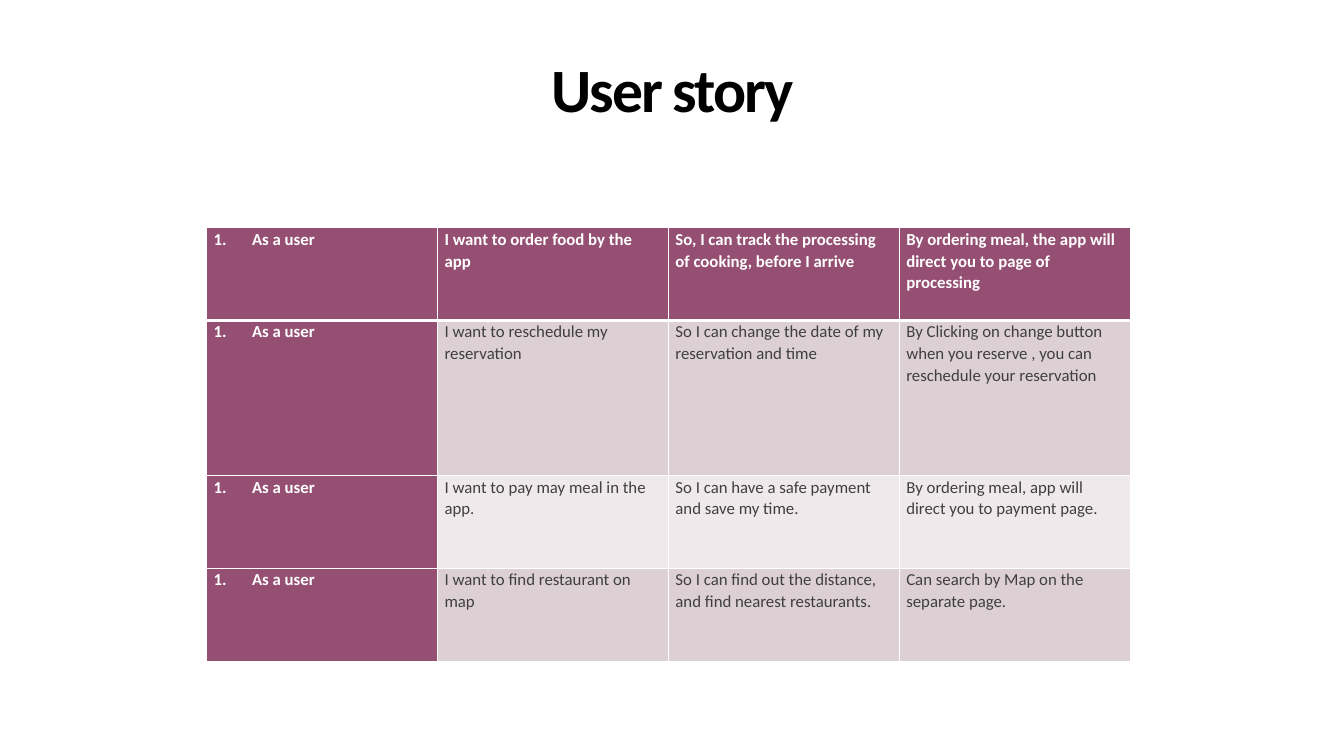
from dataclasses import dataclass

from lxml import etree
from pptx import Presentation
from pptx.dml.color import RGBColor
from pptx.enum.text import MSO_ANCHOR, MSO_AUTO_SIZE, PP_ALIGN
from pptx.oxml.ns import qn
from pptx.util import Emu, Pt

CENTER = PP_ALIGN.CENTER
BOTTOM = MSO_ANCHOR.BOTTOM
TOP = MSO_ANCHOR.TOP
NO_AUTOFIT = MSO_AUTO_SIZE.NONE
TITLE_ONLY = 5
PX = 9144


@dataclass(frozen=True)
class Theme:
    font: str = "Calibri"
    title_size: int = 44
    cell_size: int = 12
    black: str = "000000"
    white: str = "FFFFFF"
    body: str = "3F3F3F"
    plum: str = "954F72"
    bands: tuple = ("EFE9EB", "DDD0D5")


THEME = Theme()
COL_WIDTH = 229
ROW_HEIGHTS = (92, 154, 92, 92)
ROLE = "As a user"
STORIES = (
    ("I want to order food by the app",
     "So, I can track the processing of cooking, before I arrive",
     "By ordering meal, the app will direct you to page of processing"),
    ("I want to reschedule my reservation",
     "So I can change the date of my reservation and time",
     "By Clicking on change button when you reserve , you can reschedule your reservation"),
    ("I want to pay may meal in the app.",
     "So I can have a safe payment and save my time.",
     "By ordering meal, app will direct you to payment page."),
    ("I want to find restaurant on map",
     "So I can find out the distance, and find nearest restaurants.",
     "Can search by Map on the separate page."),
)


def px(n):
    """Turn px into EMU."""
    return Emu(n * PX)


def set_font(p, size, color, bold):
    """Set the font of a whole paragraph."""
    p.font.name = THEME.font
    p.font.size = Pt(size)
    p.font.bold = bold
    p.font.color.rgb = RGBColor.from_string(color)


def add_title(slide, text):
    """Place and format the title placeholder."""
    sp = slide.shapes.title
    sp.left, sp.top, sp.width, sp.height = map(px, (71, 32, 1192, 98))
    tf = sp.text_frame
    tf.auto_size = NO_AUTOFIT
    tf.vertical_anchor = BOTTOM
    p = tf.paragraphs[0]
    p.alignment = CENTER
    p.line_spacing = 0.9
    r = p.add_run()
    r.text = text
    r._r.get_or_add_rPr().set("spc", "-150")
    set_font(p, THEME.title_size, THEME.black, True)


def set_borders(cell, top, bottom):
    """Draw white cell borders with the given top and bottom widths in points."""
    tc_pr = cell._tc.get_or_add_tcPr()
    for side, width in (("L", 1), ("R", 1), ("T", top), ("B", bottom)):
        ln = etree.SubElement(tc_pr, qn(f"a:ln{side}"), w=str(Pt(width)))
        fill = etree.SubElement(ln, qn("a:solidFill"))
        etree.SubElement(fill, qn("a:srgbClr"), val=THEME.white)


def number_paragraph(p):
    """Give a paragraph a hanging number."""
    p_pr = p._p.get_or_add_pPr()
    p_pr.set("marL", str(px(38)))
    p_pr.set("indent", str(px(-38)))
    etree.SubElement(p_pr, qn("a:buAutoNum"), type="arabicPeriod")


def fill_cell(cell, text, row, col):
    """Write and style one story cell."""
    strong = row == 0 or col == 0
    set_borders(cell, 3 if row == 1 else 1, 3 if row == 0 else 1)
    cell.fill.solid()
    cell.fill.fore_color.rgb = RGBColor.from_string(
        THEME.plum if strong else THEME.bands[row % 2])
    cell.margin_left = cell.margin_right = px(7)
    cell.margin_top = cell.margin_bottom = 0
    cell.vertical_anchor = TOP
    p = cell.text_frame.paragraphs[0]
    p.text = text
    if col == 0:
        number_paragraph(p)
    p.line_spacing = 1.07
    p.space_after = Pt(8)
    set_font(p, THEME.cell_size, THEME.white if strong else THEME.body, strong)


def add_story_table(slide):
    """Add the table of user stories."""
    rows = [(ROLE, *story) for story in STORIES]
    cols = len(rows[0])
    table = slide.shapes.add_table(
        len(rows), cols, px(205), px(226),
        px(COL_WIDTH * cols), px(sum(ROW_HEIGHTS))).table
    for column in table.columns:
        column.width = px(COL_WIDTH)
    for i, texts in enumerate(rows):
        table.rows[i].height = px(ROW_HEIGHTS[i])
        for j, text in enumerate(texts):
            fill_cell(table.cell(i, j), text, i, j)


def main():
    """Build and save the slide."""
    prs = Presentation()
    prs.slide_width, prs.slide_height = px(1333), px(750)
    slide = prs.slides.add_slide(prs.slide_layouts[TITLE_ONLY])
    add_title(slide, "User story")
    add_story_table(slide)
    prs.save("out.pptx")


if __name__ == "__main__":
    main()
